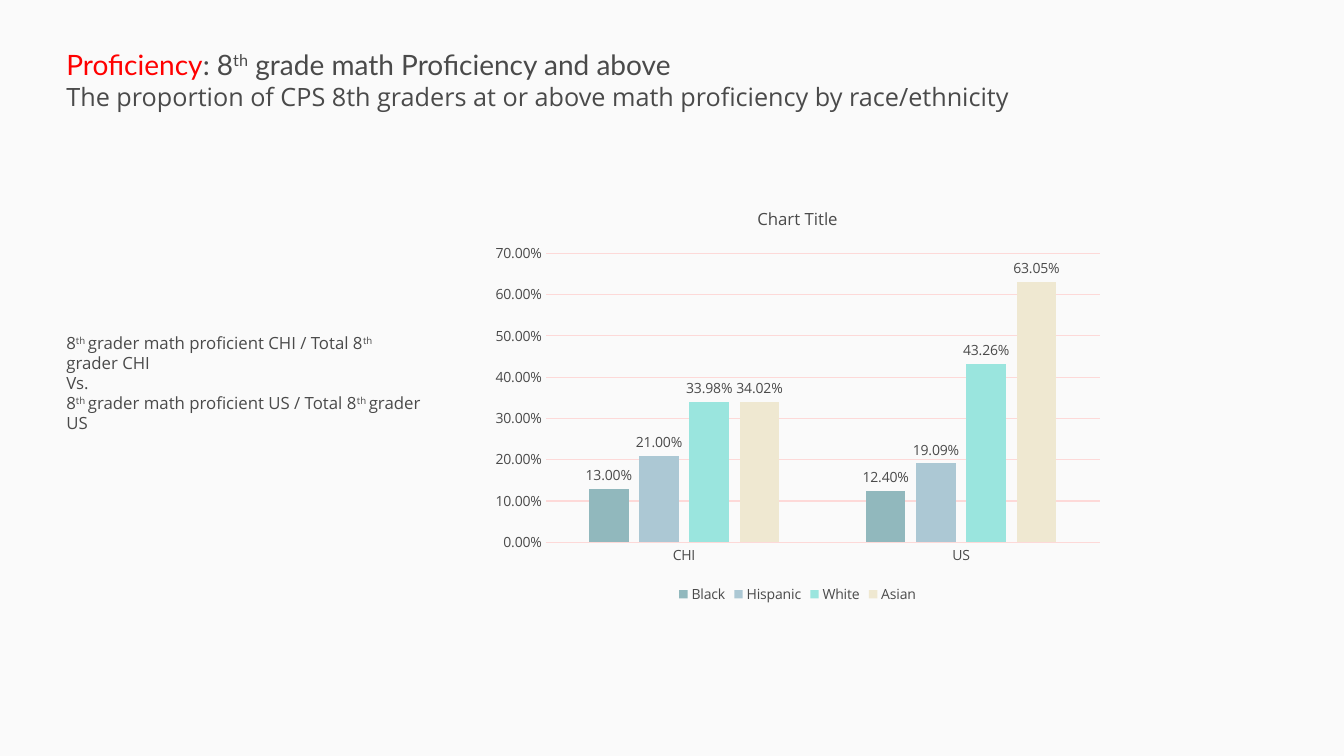
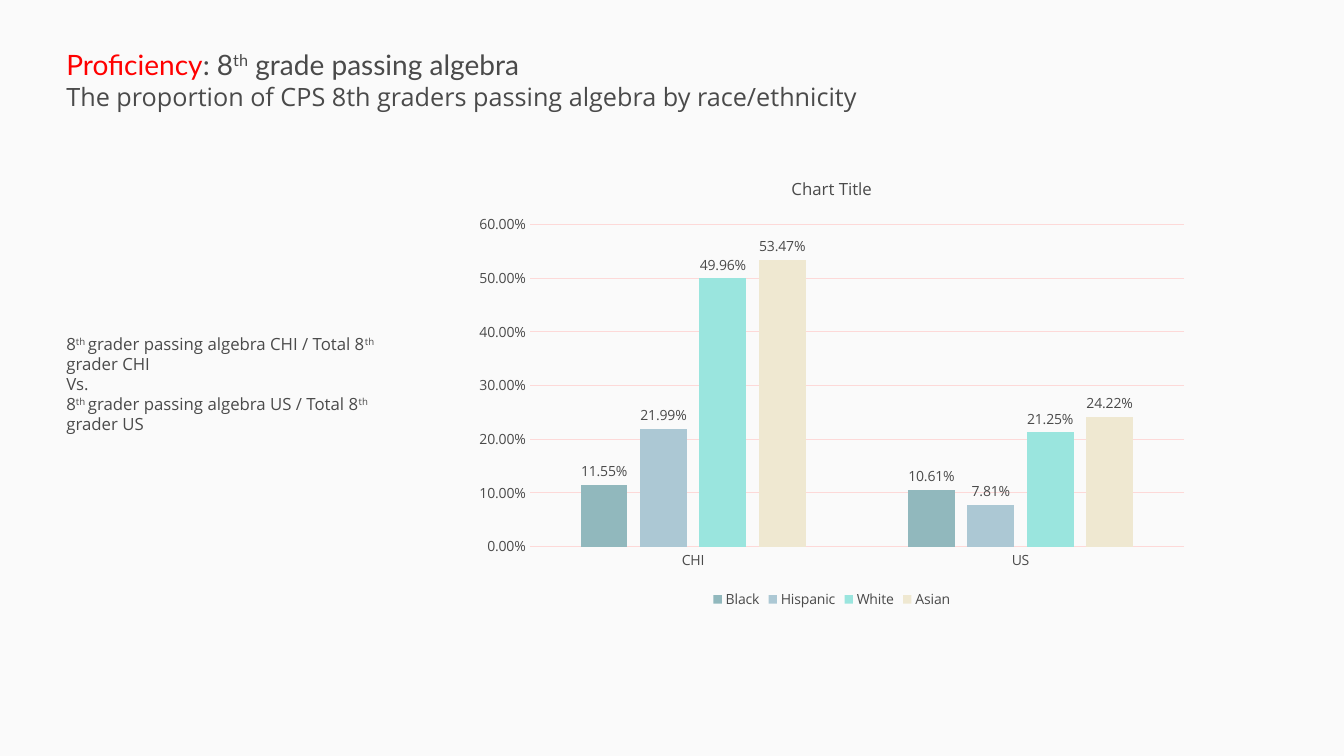
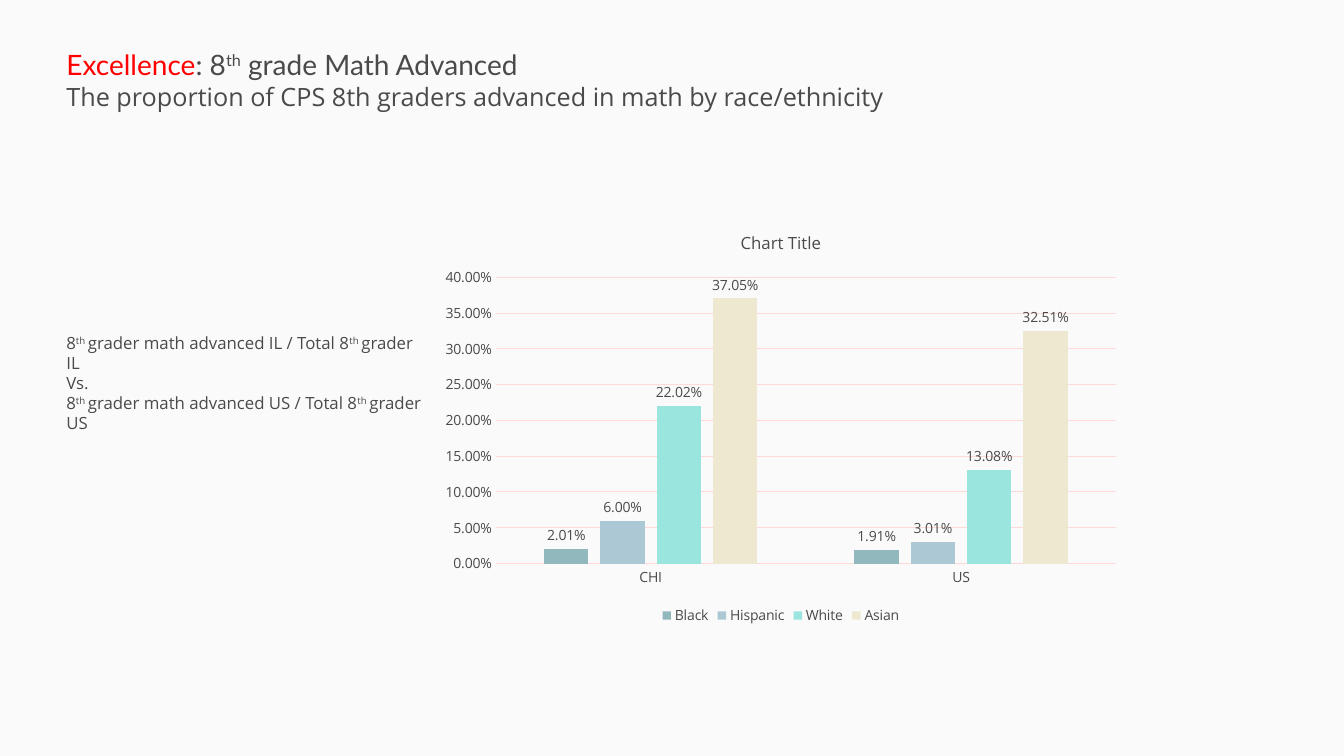
from dataclasses import dataclass

from pptx import Presentation
from pptx.chart import data as cd
from pptx.dml.color import RGBColor
from pptx.enum import chart as ch, shapes as sh, text as tx
from pptx.util import Inches, Pt

PAPER, INK, ACCENT, GRID = "FAFAFA", "4A4A4A", "FF0000", "FDD9D8"
HEAD_FONT, BODY_FONT = "Lato", "Open Sans"
PERCENT = "0.00%"
REGIONS = ("CHI", "US")
GROUPS = {"Black": "91B8BD", "Hispanic": "ACC8D4", "White": "9AE5DE", "Asian": "EFE8D1"}


@dataclass
class Box:
    left: float
    top: float
    width: float
    height: float

    def emu(self) -> tuple:
        return tuple(Inches(v) for v in (self.left, self.top, self.width, self.height))


@dataclass
class Measure:
    topic: str
    heading: str
    subtitle: str
    ratio: str
    place: str
    note_top: float
    chart_box: Box
    values: tuple


PAGE = Box(0, 0, 13.33, 7.5)
MEASURES = (
    Measure("Proficiency", ": 8^th^ grade math Proficiency and above",
            "The proportion of CPS 8th graders at or above math proficiency by race/ethnicity",
            "math proficient", "CHI", 3.25, Box(4.79, 1.87, 6.24, 4.16),
            ((0.13, 0.124), (0.21, 0.1909), (0.3398, 0.4326), (0.3402, 0.6305))),
    Measure("Proficiency", ": 8^th^ grade passing algebra",
            "The proportion of CPS 8th graders passing algebra by race/ethnicity",
            "passing algebra", "CHI", 3.26, Box(4.61, 1.57, 7.28, 4.51),
            ((0.1155, 0.1061), (0.2199, 0.0781), (0.4996, 0.2125), (0.5347, 0.2422))),
    Measure("Excellence", ": 8^th^ grade Math Advanced",
            "The proportion of CPS 8th graders advanced in math by race/ethnicity",
            "math advanced", "IL", 3.25, Box(4.28, 2.11, 6.93, 4.13),
            ((0.0201, 0.0191), (0.06, 0.0301), (0.2202, 0.1308), (0.3705, 0.3251))),
)


def rgb(color: str) -> RGBColor:
    return RGBColor.from_string(color)


def paint(fill, color: str) -> None:
    fill.solid()
    fill.fore_color.rgb = rgb(color)


def style(font, size: float, name: str = BODY_FONT, color: str = INK) -> None:
    font.size, font.name, font.bold = Pt(size), name, False
    font.color.rgb = rgb(color)


def add_backdrop(s) -> None:
    sp = s.shapes.add_shape(sh.MSO_SHAPE.RECTANGLE, *PAGE.emu())
    sp.shadow.inherit = False
    paint(sp.fill, PAPER)
    sp.line.color.rgb = rgb(PAPER)
    sp.line.width = Pt(1)


def add_runs(p, marked: str, size: float, name: str = BODY_FONT, color: str = INK) -> None:
    for i, piece in enumerate(marked.split("^")):
        r = p.add_run()
        r.text = piece
        style(r.font, size, name, color)
        if i % 2:
            r.font._element.set("baseline", "30000")


def add_text_box(s, box: Box, count: int) -> list:
    tf = s.shapes.add_textbox(*box.emu()).text_frame
    tf.word_wrap = True
    tf.auto_size = tx.MSO_AUTO_SIZE.SHAPE_TO_FIT_TEXT
    return [tf.paragraphs[0]] + [tf.add_paragraph() for _ in range(count - 1)]


def add_title(s, m: Measure) -> None:
    heading, subtitle = add_text_box(s, Box(0.56, 0.42, 12.22, 0.74), 2)
    add_runs(heading, m.topic, 20, HEAD_FONT, ACCENT)
    add_runs(heading, m.heading, 20, HEAD_FONT)
    add_runs(subtitle, m.subtitle, 18)


def add_note(s, m: Measure) -> None:
    def ratio(place: str) -> str:
        return f"8^th ^grader {m.ratio} {place} / Total 8^th ^grader {place}"

    lines = (ratio(m.place), "Vs. ", ratio("US"))
    for p, line in zip(add_text_box(s, Box(0.56, m.note_top, 3.72, 0.71), len(lines)), lines):
        add_runs(p, line, 12)


def add_column_chart(s, m: Measure) -> None:
    data = cd.CategoryChartData(number_format=PERCENT)
    data.categories = REGIONS
    for name, values in zip(GROUPS, m.values):
        data.add_series(name, values)
    chart = s.shapes.add_chart(ch.XL_CHART_TYPE.COLUMN_CLUSTERED, *m.chart_box.emu(), data).chart
    style(chart.font, 10)

    chart.has_title = True
    tf = chart.chart_title.text_frame
    tf.text = "Chart Title"
    style(tf.paragraphs[0].runs[0].font, 12)
    chart.chart_title.include_in_layout = False

    chart.has_legend = True
    chart.legend.position = ch.XL_LEGEND_POSITION.BOTTOM
    chart.legend.include_in_layout = False
    style(chart.legend.font, 10)

    for axis in (chart.category_axis, chart.value_axis):
        axis.major_tick_mark = axis.minor_tick_mark = ch.XL_TICK_MARK.NONE
        style(axis.tick_labels.font, 10)
    chart.value_axis.format.line.fill.background()
    chart.value_axis.tick_labels.number_format = PERCENT
    chart.value_axis.tick_labels.number_format_is_linked = False
    chart.value_axis.has_major_gridlines = True
    for line in (chart.category_axis.format.line, chart.value_axis.major_gridlines.format.line):
        line.color.rgb = rgb(GRID)
        line.width = Pt(0.75)

    plot = chart.plots[0]
    plot.gap_width, plot.overlap, plot.vary_by_categories = 219, -27, False
    for series, color in zip(plot.series, GROUPS.values()):
        paint(series.format.fill, color)
        series.invert_if_negative = False
        labels = series.data_labels
        labels.show_value = True
        labels.position = ch.XL_LABEL_POSITION.OUTSIDE_END
        labels.number_format, labels.number_format_is_linked = PERCENT, False
        style(labels.font, 10)


def main() -> None:
    prs = Presentation()
    prs.slide_width, prs.slide_height = Inches(PAGE.width), Inches(PAGE.height)
    paint(prs.slide_master.background.fill, PAPER)
    for m in MEASURES:
        s = prs.slides.add_slide(prs.slide_layouts[6])
        add_backdrop(s)
        add_title(s, m)
        add_note(s, m)
        add_column_chart(s, m)
    prs.save("out.pptx")


main()
